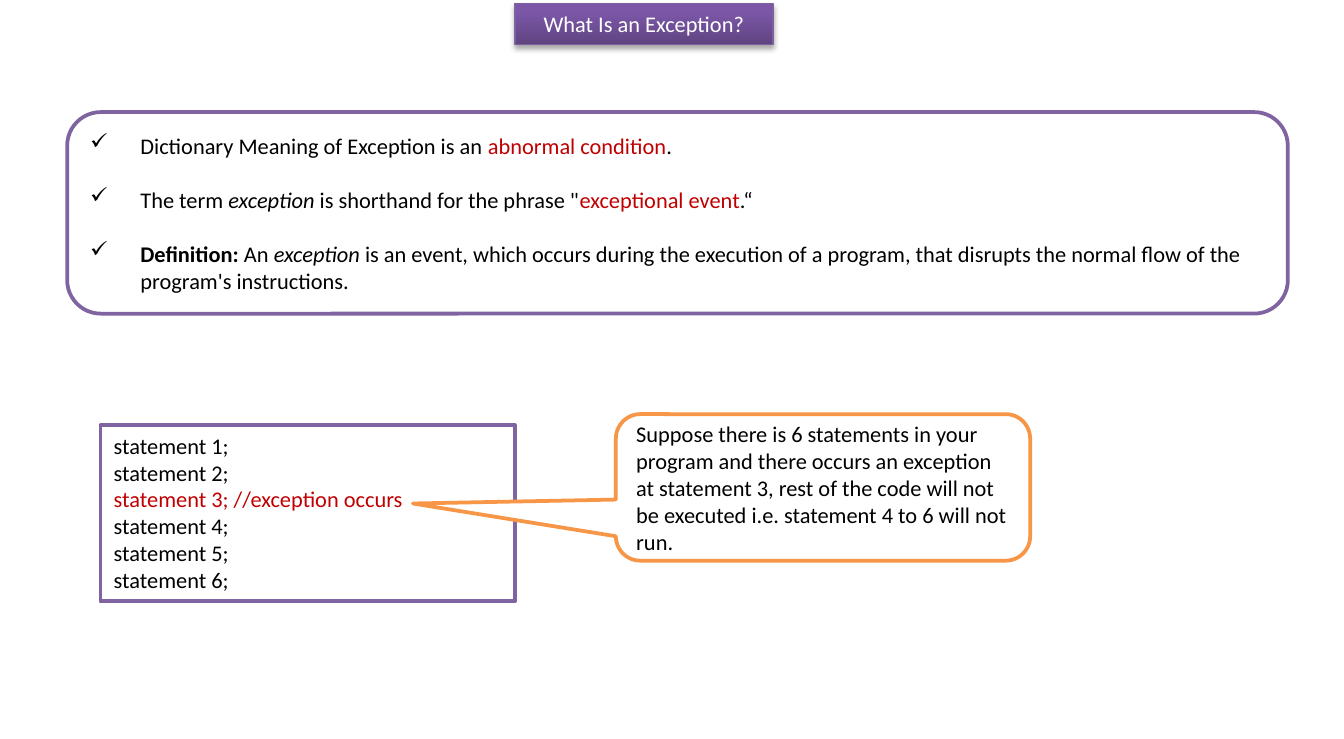
"""Builds a slide that explains what an exception is."""
from lxml import etree
from pptx import Presentation
from pptx.dml.color import RGBColor
from pptx.enum.shapes import MSO_SHAPE
from pptx.enum.text import MSO_ANCHOR, MSO_AUTO_SIZE, PP_ALIGN
from pptx.oxml.ns import qn
from pptx.util import Cm, Pt

RECTANGLE = MSO_SHAPE.RECTANGLE
ROUNDED = MSO_SHAPE.ROUNDED_RECTANGLE
CALLOUT = MSO_SHAPE.ROUNDED_RECTANGULAR_CALLOUT
TOP, MIDDLE = MSO_ANCHOR.TOP, MSO_ANCHOR.MIDDLE
LEFT, CENTER = PP_ALIGN.LEFT, PP_ALIGN.CENTER
NO_AUTOFIT = MSO_AUTO_SIZE.NONE

COLORS = {
    "white": "FFFFFF",
    "black": "000000",
    "red": "C00000",
    "purple": "8064A2",
    "orange": "F79646",
    "title_dark": "5F4480",
    "title_light": "7C57A8",
    "title_edge": "7D60A0",
}

MEANINGS = [
    [("Dictionary Meaning of Exception is an ", ""), ("abnormal condition", "red"), (".", "")],
    [("The term ", ""), ("exception", "italic"), (' is shorthand for the phrase "', ""),
     ("exceptional event", "red"), (".“", "")],
    [("Definition:", "bold"), (" An ", ""), ("exception", "italic"),
     (" is an event, which occurs during the execution of a program, "
      "that disrupts the normal flow of the program's instructions.", "")],
]
STATEMENTS = [
    [(f"statement {n}; //exception occurs", "red") if n == 3 else (f"statement {n};", "")]
    for n in range(1, 7)
]
EXPLANATION = [[(
    "Suppose there is 6 statements in your program and there occurs an exception "
    "at statement 3, rest of the code will not be executed i.e. statement 4 to 6 "
    "will not run.", "")]]


def rgb(color):
    return RGBColor.from_string(COLORS[color])


class SlideBuilder:
    def __init__(self, presentation):
        self.font_name = "Calibri"
        self.font_size = Pt(12)
        self.border = Pt(2)
        self.indent = Cm(0.95)
        self.bullet_gap = Pt(14.65)
        self.slide = presentation.slides.add_slide(presentation.slide_layouts[5])

    def style(self, paragraph, color, align=LEFT):
        paragraph.alignment = align
        paragraph.font.name = self.font_name
        paragraph.font.size = self.font_size
        paragraph.font.color.rgb = rgb(color)

    def title(self, text, left, top, width, height):
        heading = self.slide.shapes.title
        heading.left, heading.top = Cm(left), Cm(top)
        heading.width, heading.height = Cm(width), Cm(height)
        heading.fill.gradient()
        heading.fill.gradient_angle = 90
        dark, light = heading.fill.gradient_stops
        dark.color.rgb, dark.position = rgb("title_dark"), 0
        light.color.rgb, light.position = rgb("title_light"), 0.8
        heading.line.color.rgb = rgb("title_edge")
        heading.line.width = Pt(0.75)
        self.drop_shadow(heading)
        frame = heading.text_frame
        frame.text = text
        frame.auto_size = NO_AUTOFIT
        frame.vertical_anchor = TOP
        self.style(frame.paragraphs[0], "white", CENTER)

    def drop_shadow(self, shape):
        shape.shadow.inherit = False
        effects = shape._element.spPr.find(qn("a:effectLst"))
        shadow = etree.SubElement(
            effects, qn("a:outerShdw"), blurRad=str(Pt(3.1)), dist=str(Pt(1.8)),
            dir="5400000", rotWithShape="0")
        color = etree.SubElement(shadow, qn("a:srgbClr"), val=COLORS["black"])
        etree.SubElement(color, qn("a:alpha"), val="35000")

    def bullet(self, paragraph):
        properties = paragraph._p.get_or_add_pPr()
        properties.set("marL", str(self.indent))
        properties.set("indent", str(-self.indent))
        etree.SubElement(properties, qn("a:buChar"), char="✓")

    def panel(self, kind, left, top, width, height, edge, lines, anchor=MIDDLE, bullets=False):
        box = self.slide.shapes.add_shape(kind, Cm(left), Cm(top), Cm(width), Cm(height))
        box.shadow.inherit = False
        box.fill.solid()
        box.fill.fore_color.rgb = rgb("white")
        box.line.color.rgb = rgb(edge)
        box.line.width = self.border
        frame = box.text_frame
        frame.word_wrap = True
        frame.vertical_anchor = anchor
        for index, pieces in enumerate(lines):
            paragraph = frame.add_paragraph() if index else frame.paragraphs[0]
            if bullets:
                self.bullet(paragraph)
                if index:
                    paragraph.space_before = self.bullet_gap
            self.style(paragraph, "black")
            for text, emphasis in pieces:
                run = paragraph.add_run()
                run.text = text
                if emphasis == "red":
                    run.font.color.rgb = rgb("red")
                elif emphasis:
                    setattr(run.font, emphasis, True)
        return box


def main():
    presentation = Presentation()
    presentation.slide_width, presentation.slide_height = Cm(25.4), Cm(13.97)
    builder = SlideBuilder(presentation)
    builder.title("What Is an Exception?", 9.73, 0.07, 4.88, 0.77)
    builder.panel(ROUNDED, 1.27, 2.12, 23.07, 3.81, "purple", MEANINGS, bullets=True)
    builder.panel(RECTANGLE, 1.9, 8.04, 7.83, 3.33, "purple", STATEMENTS, anchor=TOP)
    callout = builder.panel(CALLOUT, 11.64, 7.83, 7.83, 2.77, "orange", EXPLANATION)
    callout.adjustments[0] = -0.99
    callout.adjustments[1] = 0.11
    presentation.save("out.pptx")


if __name__ == "__main__":
    main()
